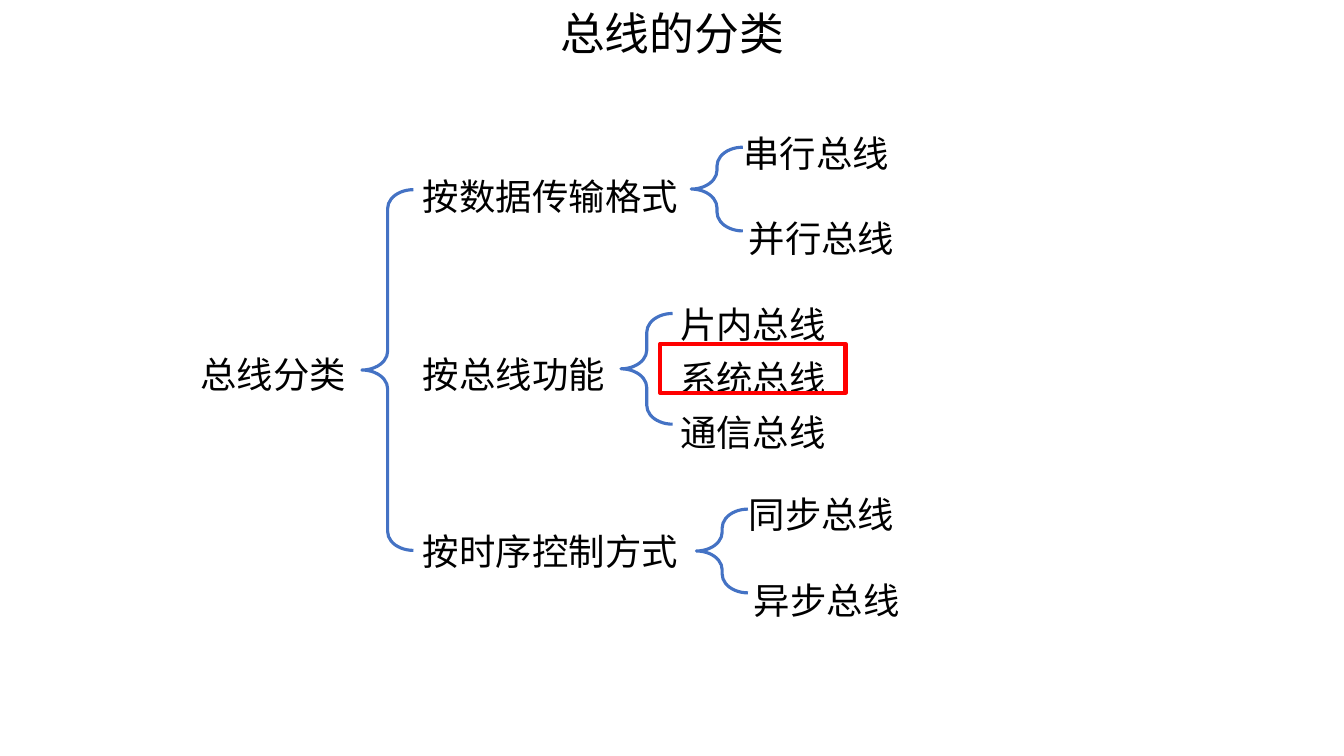
"""Build a slide with a brace tree that classifies computer buses."""
from dataclasses import dataclass

import pptx
import pptx.dml.color
import pptx.enum.shapes
import pptx.enum.text
import pptx.oxml.ns
import pptx.util
from lxml import etree
from pptx.util import Cm


@dataclass(frozen=True)
class Theme:
    font: str = "Noto Sans CJK SC"
    text: str = "000000"
    brace: str = "4472C4"
    highlight: str = "FF0000"
    title_size: int = 32
    label_size: int = 26
    brace_width: float = 2.25
    highlight_width: float = 3


theme = Theme()
LABEL_H = 1.73
LEAF_W = 5.26
BRACE_W = 1.3

prs = pptx.Presentation()
prs.slide_width, prs.slide_height = Cm(33.87), Cm(19.05)
s = prs.slides.add_slide(prs.slide_layouts[6])


def add_text(text, x, y, w, h=LABEL_H, size=theme.label_size, spacing=1.5,
             align=pptx.enum.text.PP_ALIGN.LEFT):
    tf = s.shapes.add_textbox(Cm(x), Cm(y), Cm(w), Cm(h)).text_frame
    tf.word_wrap = True
    tf.auto_size = pptx.enum.text.MSO_AUTO_SIZE.SHAPE_TO_FIT_TEXT
    p = tf.paragraphs[0]
    p.alignment = align
    p.line_spacing = spacing
    r = p.add_run()
    r.text = text
    r.font.name = theme.font
    r.font.size = pptx.util.Pt(size)
    r.font.color.rgb = pptx.dml.color.RGBColor.from_string(theme.text)
    ea = etree.SubElement(r.font._element, pptx.oxml.ns.qn("a:ea"))
    ea.set("typeface", theme.font)


def add_outline(kind, x, y, w, h, color, width):
    sp = s.shapes.add_shape(kind, Cm(x), Cm(y), Cm(w), Cm(h))
    sp.shadow.inherit = False
    sp.fill.background()
    sp.line.color.rgb = pptx.dml.color.RGBColor.from_string(color)
    sp.line.width = pptx.util.Pt(width)
    return sp


add_text("总线的分类", 10.08, 0.03, 13.72, 1.63, size=theme.title_size,
         spacing=1, align=pptx.enum.text.PP_ALIGN.CENTER)
add_text("总线分类", 4.8, 8.2, 4.32)

# label, y, width, leaves, first leaf (x, y), leaf step (x, y)
categories = [
    ("按数据传输格式", 3.71, 7.65, ["串行总线", "并行总线"], (18.49, 2.62), (0.13, 2.16)),
    ("按总线功能", 8.2, 5.26, ["片内总线", "系统总线", "通信总线"], (16.89, 6.93), (0, 1.36)),
    ("按时序控制方式", 12.67, 7.01, ["同步总线", "异步总线"], (18.62, 11.73), (0.13, 2.16)),
]
for label, y, w, leaves, (leaf_x, leaf_y), (step_x, step_y) in categories:
    add_text(label, 10.41, y, w)
    for i, leaf in enumerate(leaves):
        add_text(leaf, leaf_x + i * step_x, leaf_y + i * step_y, LEAF_W)

braces = [(9.12, 4.78, 9.09), (17.42, 3.71, 2.11), (15.65, 7.9, 2.79), (17.55, 12.83, 2.11)]
for x, y, h in braces:
    brace = add_outline(pptx.enum.shapes.MSO_SHAPE.LEFT_BRACE, x, y, BRACE_W, h,
                        theme.brace, theme.brace_width)
    brace.adjustments[0] = 0.365
    brace.adjustments[1] = 0.5

add_outline(pptx.enum.shapes.MSO_SHAPE.RECTANGLE, 16.64, 8.66, 4.67, 1.24,
            theme.highlight, theme.highlight_width)

prs.save("out.pptx")
